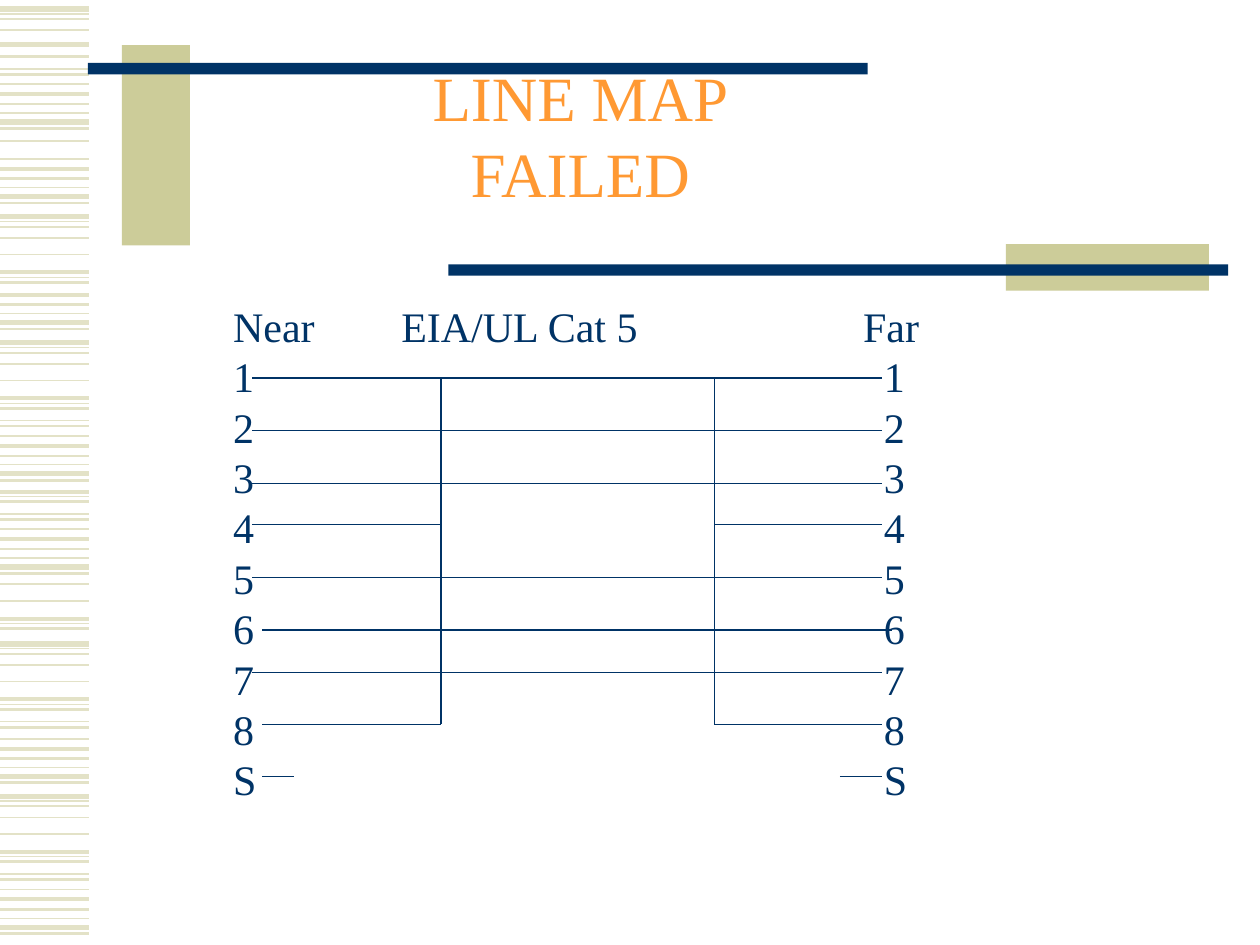
from lxml import etree
from pptx import Presentation, util as u
from pptx.dml.color import RGBColor
from pptx.enum import shapes, text
from pptx.oxml import ns

NAVY = RGBColor(0x00, 0x33, 0x66)
OLIVE = RGBColor(0xCC, 0xCC, 0x99)
PALE = RGBColor(0xE3, 0xE2, 0xC7)
AMBER = RGBColor(0xFF, 0x99, 0x33)
FACE = "Times New Roman"

TITLE = ["LINE MAP", "FAILED"]
HEADS = ["Near", "EIA/UL Cat 5", "Far"]
PINS = ["1", "2", "3", "4", "5", "6", "7", "8", "S"]

HEAD = [(-0.76, 1), (-0.56, 2.25), (-0.36, 1.5), (-0.18, 0.75), (0, 3), (0.13, 1.5)]
TAIL = [(0, 3), (0.1, 0.75), (0.2, 1), (0.43, 1), (0.76, 1), (1.12, 2.25),
        (1.22, 0.75), (1.32, 1.5), (1.57, 0.75), (1.68, 1.5)]
BANDS = [(y, HEAD) for y in (2.46, 3.96, 9.55, 11.43, 15.65, 18.69)]
BANDS += [(y, TAIL) for y in (6.91, 12.98, 16.05)]
BANDS += [(6.5, HEAD[1:]), (-0.18, TAIL[7:]), (0.18, TAIL[:4]), (4.37, TAIL[:8]),
          (8.79, TAIL[5:]), (11.35, TAIL[3:8]), (0.89, [(0, 3)]), (2.84, [(0, 1)])]
EDGE = 1.8

BARS = [(2.46, 0.91, 1.37, 4.04, OLIVE), (1.77, 1.27, 15.72, 0.23, NAVY),
        (20.28, 4.92, 4.09, 0.94, OLIVE), (9.04, 5.33, 15.72, 0.23, NAVY)]

NEAR, LEFT, RIGHT, FAR = 5.08, 8.89, 14.4, 17.78
STEP = 0.21
TOP, BASE = 7.62, 14.6
WIRES = [
    (TOP, [(NEAR, FAR)]),
    (8.68, [(NEAR, FAR)]),
    (9.74, [(NEAR, FAR)]),
    (10.58, [(NEAR, LEFT), (RIGHT, FAR)]),
    (11.64, [(NEAR, FAR)]),
    (12.7, [(NEAR + STEP, FAR + STEP)]),
    (13.55, [(NEAR, FAR)]),
    (BASE, [(NEAR + STEP, LEFT), (RIGHT, FAR)]),
    (15.66, [(NEAR + STEP, 5.93), (16.93, FAR)]),
]


def rule(x1, y1, x2, y2, color, size=0.75):
    line = tree.add_connector(shapes.MSO_CONNECTOR.STRAIGHT,
                              u.Cm(x1), u.Cm(y1), u.Cm(x2), u.Cm(y2))
    line.line.color.rgb = color
    line.line.width = u.Pt(size)
    etree.SubElement(line._element.spPr, ns.qn("a:effectLst"))


def bar(x, y, w, h, color):
    box = tree.add_shape(shapes.MSO_SHAPE.RECTANGLE, u.Cm(x), u.Cm(y), u.Cm(w), u.Cm(h))
    box.fill.solid()
    box.fill.fore_color.rgb = color
    box.line.fill.background()
    box.shadow.inherit = False


def write(box, lines, at, size, color, align, tabs=((), ())):
    tree._spTree.append(box._element)
    box.left, box.top, box.width, box.height = [u.Cm(n) for n in at]
    frame = box.text_frame
    frame.word_wrap = True
    frame.auto_size = text.MSO_AUTO_SIZE.NONE
    frame.vertical_anchor = text.MSO_ANCHOR.TOP
    for i, line in enumerate(lines):
        para = frame.add_paragraph() if i else frame.paragraphs[0]
        if tabs[min(i, 1)]:
            stops = etree.SubElement(para._p.get_or_add_pPr(), ns.qn("a:tabLst"))
            for pos in tabs[min(i, 1)]:
                etree.SubElement(stops, ns.qn("a:tab"), pos=str(int(u.Cm(pos))), algn="l")
        para.alignment = align
        para.line_spacing = u.Pt(size * 1.2)
        para.space_before = para.space_after = u.Pt(0)
        run = para.add_run()
        run.text = line
        run.font.name = FACE
        run.font.size = u.Pt(size)
        run.font.color.rgb = color


deck = Presentation()
deck.slide_width, deck.slide_height = u.Cm(25.4), u.Cm(19.05)
slide = deck.slides.add_slide(deck.slide_layouts[5])
tree = slide.shapes

for y, band in BANDS:
    for gap, size in band:
        rule(0, y + gap, EDGE, y + gap, PALE, size)
for item in BARS:
    bar(*item)

write(tree.title, TITLE, at=(8.2, 1.06, 7, 3.3), size=36, color=AMBER,
      align=text.PP_ALIGN.CENTER)
rows = ["\t".join(HEADS)] + [f"{pin}\t{pin}" for pin in PINS]
write(tree.add_textbox(0, 0, 0, 0), rows, at=(4.45, 5.93, 14.5, 10.41), size=24,
      color=NAVY, align=text.PP_ALIGN.LEFT, tabs=[(3.39, 12.7), (13.12,)])

for x in (LEFT, RIGHT):
    rule(x, BASE, x, TOP, NAVY)
for y, spans in WIRES:
    for start, end in spans:
        rule(start, y, end, y, NAVY)

deck.save("out.pptx")
